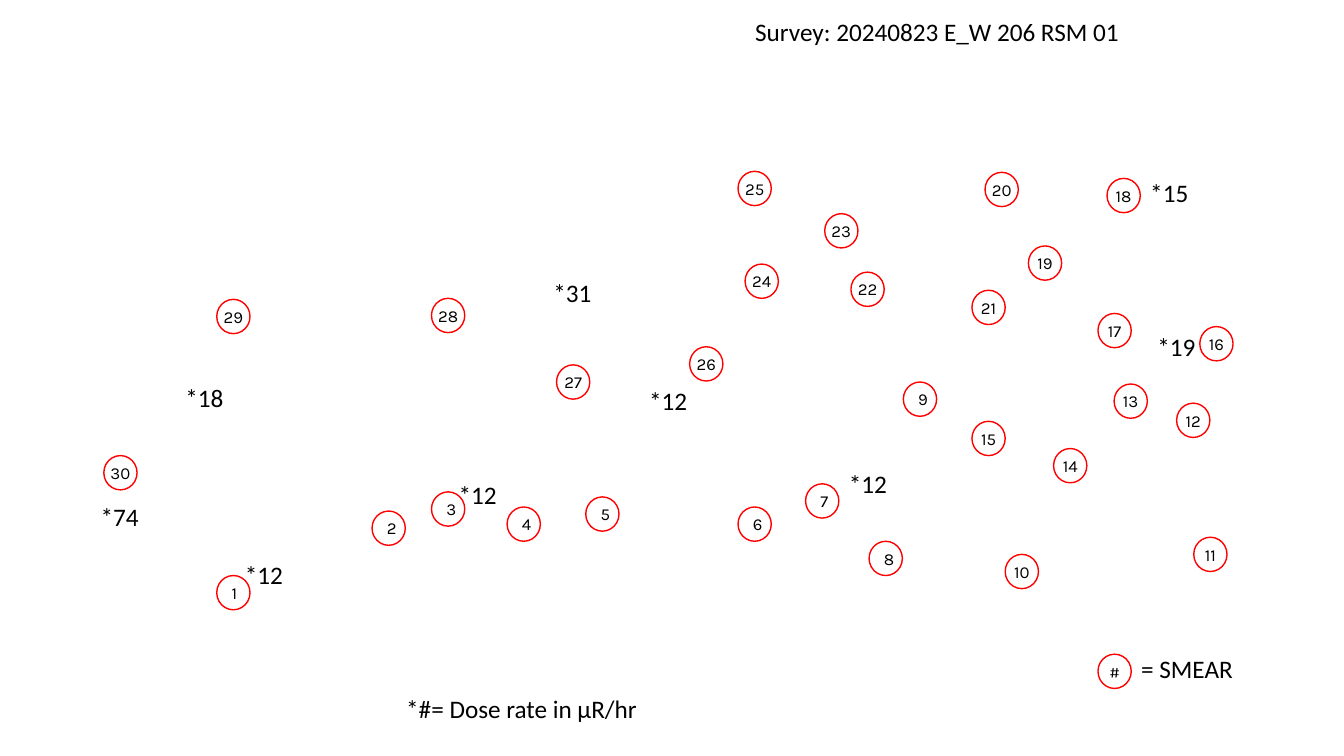
from pptx import Presentation
from pptx import util as u
from pptx.dml.color import RGBColor
from pptx.enum import shapes, text

PX = 9144
RED = RGBColor(0xFF, 0x00, 0x00)
BLACK = RGBColor(0x00, 0x00, 0x00)

SMEAR_SIZE = (33, 34)
LABEL_HEIGHT = 40
DOSE_WIDTH = 58

SMEARS = [
    (125, 401), (279, 337), (338, 318), (413, 333), (491, 323),
    (642, 333), (709, 310), (772, 367), (806, 209), (907, 380),
    (1094, 363), (1077, 230), (1015, 211), (955, 275), (874, 248),
    (1100, 154), (999, 141), (1008, 7), (930, 74), (887, 1),
    (874, 118), (754, 100), (728, 42), (649, 92), (642, 0),
    (594, 174), (462, 192), (338, 126), (125, 127), (13, 282),
]
DOSE_RATES = [
    (74, 0, 322), (31, 449, 100), (15, 1041, 1), (12, 544, 207),
    (19, 1048, 154), (18, 84, 204), (12, 355, 301), (12, 742, 290),
    (12, 143, 380),
]


def px(*lengths):
    return [u.Emu(n * PX) for n in lengths]


def write(sp, words, size=18, font="Calibri", align=text.PP_ALIGN.LEFT,
          anchor=text.MSO_ANCHOR.TOP, wrap=False, side=10):
    tf = sp.text_frame
    tf.word_wrap = wrap
    tf.auto_size = text.MSO_AUTO_SIZE.NONE if wrap else text.MSO_AUTO_SIZE.SHAPE_TO_FIT_TEXT
    tf.vertical_anchor = anchor
    tf.margin_left, tf.margin_right, tf.margin_top, tf.margin_bottom = px(side, side, 5, 5)
    p = tf.paragraphs[0]
    p.alignment = align
    r = p.add_run()
    r.text = words
    r.font.size = u.Pt(size)
    r.font.name = font
    r.font.color.rgb = BLACK


def add_label(s, words, x, y, width):
    write(s.shapes.add_textbox(*px(x, y, width, LABEL_HEIGHT)), words)


def add_smear(s, words, x, y, side=0):
    sp = s.shapes.add_shape(shapes.MSO_SHAPE.OVAL, *px(x, y, *SMEAR_SIZE))
    sp.shadow.inherit = False
    sp.fill.background()
    sp.line.color.rgb = RED
    sp.line.width = u.Pt(1)
    write(sp, words, size=12, font="Karla", align=text.PP_ALIGN.CENTER,
          anchor=text.MSO_ANCHOR.MIDDLE, wrap=True, side=side)


def place_title(s, x, y, width):
    title = s.shapes.title
    title.left, title.top, title.width, title.height = px(x, y, width, LABEL_HEIGHT)
    write(title, "Survey: 20240823 E_W 206 RSM 01")


def draw_survey_map(s, left, top):
    for number, (x, y) in enumerate(SMEARS, 1):
        add_smear(s, str(number), left + x, top + y, side=10 if number < 10 else 0)
    for rate, x, y in DOSE_RATES:
        add_label(s, f"*{rate}", left + x, top + y, DOSE_WIDTH)


def draw_legend(s, left, top):
    add_label(s, "= SMEAR", left + 729, top, 124)
    add_smear(s, "#", left + 696, top + 6)
    add_label(s, "*#= Dose rate in μR/hr", left, top + 40, 252)


def main():
    prs = Presentation()
    prs.slide_width, prs.slide_height = px(1333, 750)
    s = prs.slides.add_slide(prs.slide_layouts[5])
    place_title(s, 739, 11, 385)
    draw_survey_map(s, 90, 170)
    draw_legend(s, 393, 643)
    prs.save("out.pptx")


if __name__ == "__main__":
    main()
